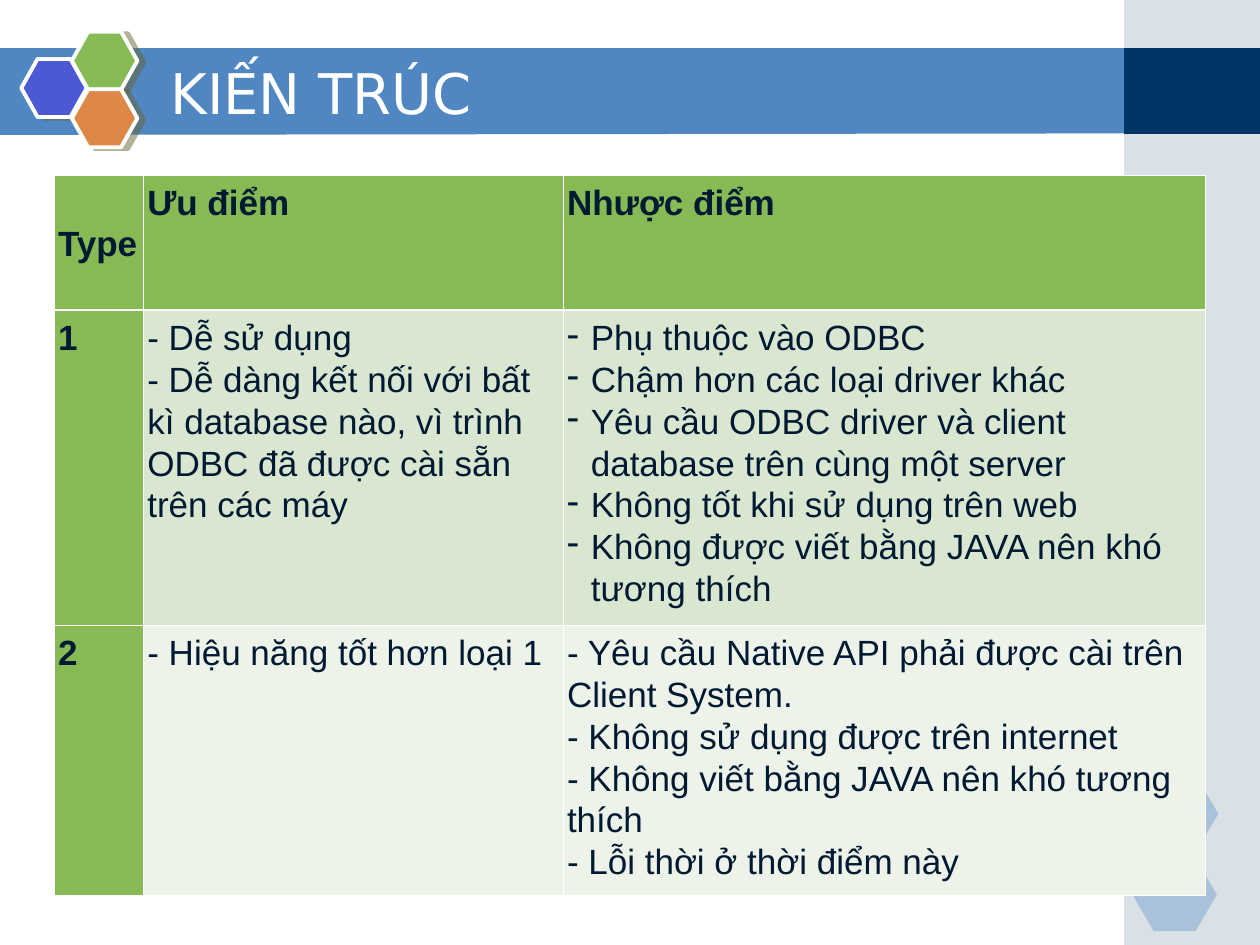
from lxml import etree
from pptx import Presentation
from pptx import util as u
from pptx.dml.color import RGBColor
from pptx.enum import shapes, text
from pptx.oxml import ns

Cm, Pt = u.Cm, u.Pt
COLORS = {
    "band": "5086C2", "side": "A0B5C4", "navy": "003366", "white": "FFFFFF",
    "blue": "4C59D2", "green": "85BA54", "orange": "DE8848", "shade": "666633",
    "ink": "001933", "mid": "D9E7D1", "pale": "EDF3E9",
}
RGB = {name: RGBColor.from_string(code) for name, code in COLORS.items()}


def sub(parent, tag, **attrs):
    """Append a DrawingML child element."""
    return etree.SubElement(parent, ns.qn(tag), attrs)


def paint(shape, color, alpha=100):
    """Give a shape a plain fill, with no line or shadow."""
    shape.shadow.inherit = False
    shape.fill.solid()
    shape.fill.fore_color.rgb = RGB[color]
    shape.line.fill.background()
    if alpha < 100:
        code = shape.fill._xPr.find(".//" + ns.qn("a:srgbClr"))
        sub(code, "a:alpha", val=str(alpha * 1000))


prs = Presentation()
prs.slide_width, prs.slide_height = Cm(25.4), Cm(19.05)
slide = prs.slides.add_slide(prs.slide_layouts[5])
items = slide.shapes
title = items.title

# Title band and right side
pen = items.build_freeform(Cm(-0.03), Cm(0.97))
pen.add_line_segments([(Cm(22.73), Cm(0.97)), (Cm(22.73), Cm(2.69)),
                       (Cm(-0.03), Cm(2.72))])
paint(pen.convert_to_shape(), "band")
for top, height, color, alpha in [(0, 19.05, "side", 40), (0.97, 1.73, "navy", 100)]:
    bar = items.add_shape(shapes.MSO_SHAPE.RECTANGLE,
                          Cm(22.66), Cm(top), Cm(2.74), Cm(height))
    paint(bar, color, alpha)

# Faint hexagons at the lower right
for left, top in [(21.39, 16.51), (22.86, 15.67), (22.83, 17.3)]:
    hexa = items.add_shape(shapes.MSO_SHAPE.HEXAGON,
                           Cm(left), Cm(top), Cm(1.7), Cm(1.47))
    hexa.adjustments[0] = 0.29
    paint(hexa, "band", 35)

# Hexagon cluster beside the title
for left, top, color in [(0.43, 1.19, "blue"), (1.45, 0.64, "green"),
                         (1.45, 1.8, "orange")]:
    hexa = items.add_shape(shapes.MSO_SHAPE.HEXAGON,
                           Cm(left), Cm(top), Cm(1.32), Cm(1.17))
    hexa.adjustments[0] = 0.28
    paint(hexa, color)
    hexa.line.color.rgb = RGB["white"]
    hexa.line.width = Pt(2.25)
    glow = sub(hexa._element.spPr.find(ns.qn("a:effectLst")), "a:outerShdw",
               blurRad="0", dist=str(Pt(4.1)), dir=str(14 * 60000),
               algn="ctr", rotWithShape="0")
    code = sub(glow, "a:srgbClr", val=COLORS["shade"])
    sub(code, "a:alpha", val="50000")

# Title
items._spTree.append(title._element)
title.left, title.top, title.width, title.height = Cm(3.18), Cm(1.07), Cm(18.62), Cm(1.57)
frame = title.text_frame
frame.text = "KIẾN TRÚC"
frame.auto_size = text.MSO_AUTO_SIZE.NONE
frame.vertical_anchor = text.MSO_ANCHOR.MIDDLE
line = frame.paragraphs[0]
line.alignment = text.PP_ALIGN.LEFT
font = line.runs[0].font
font.name, font.size = "DejaVu Sans", Pt(32)
font.color.rgb = RGB["white"]

# Table of driver types
rows = [
    ["Type", "Ưu điểm", "Nhược điểm"],
    ["1",
     "- Dễ sử dụng\n"
     "- Dễ dàng kết nối với bất kì database nào, vì trình ODBC đã được cài sẵn trên các máy",
     "Phụ thuộc vào ODBC\n"
     "Chậm hơn các loại driver khác\n"
     "Yêu cầu ODBC driver và client database trên cùng một server\n"
     "Không tốt khi sử dụng trên web\n"
     "Không được viết bằng JAVA nên khó tương thích"],
    ["2",
     "- Hiệu năng tốt hơn loại 1",
     "- Yêu cầu Native API phải được cài trên Client System.\n"
     "- Không sử dụng được trên internet\n"
     "- Không viết bằng JAVA nên khó tương thích\n"
     "- Lỗi thời ở thời điểm này"],
]
widths, heights = [1.8, 8.46, 12.95], [2.72, 6.35, 5.44]
fills = ["green", "mid", "pale"]
table = items.add_table(3, 3, Cm(1.09), Cm(3.53),
                        Cm(sum(widths)), Cm(sum(heights))).table
for col, width in zip(table.columns, widths):
    col.width = Cm(width)
for row, height in zip(table.rows, heights):
    row.height = Cm(height)

for r, row in enumerate(rows):
    for c, words in enumerate(row):
        cell = table.cell(r, c)
        head = r == 0 or c == 0
        cell.margin_left = cell.margin_right = Cm(0.08)
        cell.margin_top = cell.margin_bottom = Cm(0.13)
        cell.vertical_anchor = (text.MSO_ANCHOR.MIDDLE if r == c == 0
                                else text.MSO_ANCHOR.TOP)
        cell.fill.solid()
        cell.fill.fore_color.rgb = RGB["green" if head else fills[r]]
        cell.text_frame.text = words
        for line in cell.text_frame.paragraphs:
            line.line_spacing = 1.07
            if r == 1 and c == 2:
                props = line._p.get_or_add_pPr()
                props.set("marL", str(Cm(0.48)))
                props.set("indent", str(Cm(-0.48)))
                sub(sub(props, "a:buClr"), "a:srgbClr", val=COLORS["ink"])
                sub(props, "a:buChar", char="-")
            font = line.runs[0].font
            font.name, font.size, font.bold = "Arial", Pt(20), head
            font.color.rgb = RGB["ink"]
        props = cell._tc.get_or_add_tcPr()
        for i, side in enumerate("LRTB"):
            thick = (r, side) in [(0, "B"), (1, "T")]
            edge = sub(props, "a:ln" + side, w=str(Pt(1.47 if thick else 0.45)))
            sub(sub(edge, "a:solidFill"), "a:srgbClr", val=COLORS["white"])
            props.insert(i, edge)

prs.save("out.pptx")
